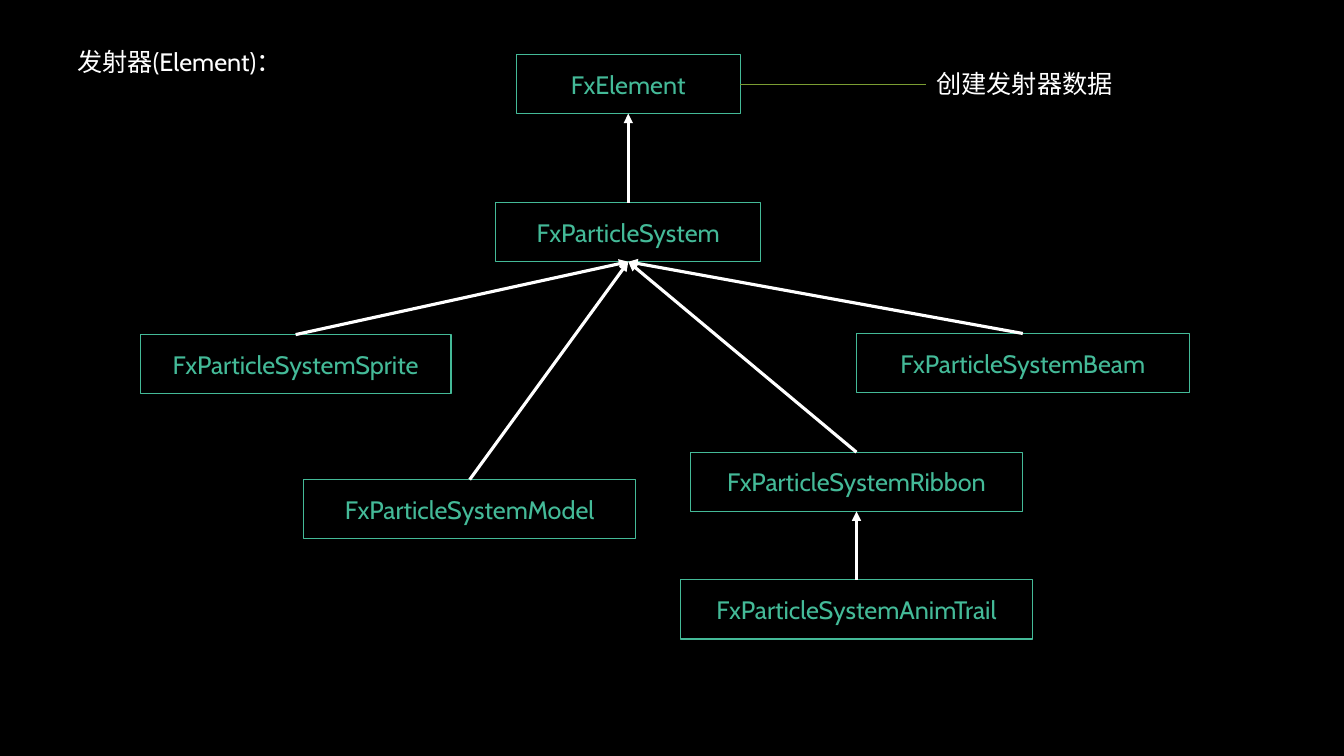
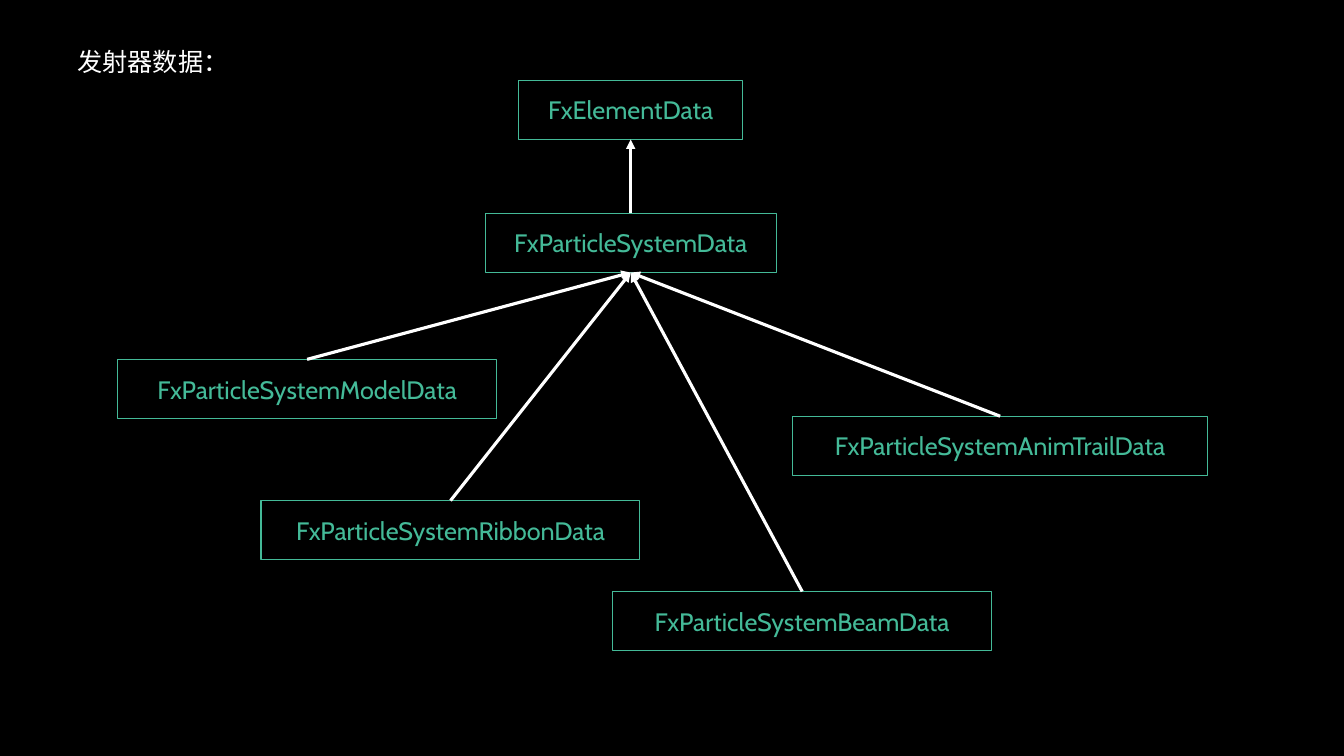
from dataclasses import dataclass

from lxml import etree
from pptx import Presentation
from pptx.dml.color import RGBColor
from pptx.enum import dml, lang, shapes, text
from pptx.oxml import ns
from pptx.util import Pt


@dataclass(frozen=True)
class Theme:
    background: RGBColor = RGBColor(0x00, 0x00, 0x00)
    accent: RGBColor = RGBColor(0x44, 0xBA, 0x98)
    white: RGBColor = RGBColor(0xFF, 0xFF, 0xFF)
    note_line: RGBColor = RGBColor(0x7B, 0x9D, 0x32)
    font: str = "Cabin"
    text_size: float = 18
    thin: float = 0.75
    thick: float = 2.25
    box_height: float = 42.3
    label_height: float = 29


@dataclass(frozen=True)
class ClassBox:
    name: str
    center: float
    top: float
    width: float
    parent: str = ""


THEME = Theme()
TOP, LEFT, BOTTOM, RIGHT = range(4)

ELEMENT_CLASSES = [
    ClassBox("FxElement", 448.8, 38.9, 160),
    ClassBox("FxParticleSystem", 448.8, 144.7, 189.4, "FxElement"),
    ClassBox("FxParticleSystemSprite", 211.2, 239, 222, "FxParticleSystem"),
    ClassBox("FxParticleSystemModel", 335.5, 342.6, 237.6, "FxParticleSystem"),
    ClassBox("FxParticleSystemRibbon", 611.8, 323, 237.6, "FxParticleSystem"),
    ClassBox("FxParticleSystemBeam", 730.6, 238.2, 237.6, "FxParticleSystem"),
    ClassBox("FxParticleSystemAnimTrail", 611.8, 414.2, 251.6, "FxParticleSystemRibbon"),
]

DATA_CLASSES = [
    ClassBox("FxElementData", 450.5, 57.3, 160),
    ClassBox("FxParticleSystemData", 450.5, 152.4, 208, "FxElementData"),
    ClassBox("FxParticleSystemModelData", 219.4, 256.7, 270.7, "FxParticleSystemData"),
    ClassBox("FxParticleSystemRibbonData", 321.8, 357.6, 270.7, "FxParticleSystemData"),
    ClassBox("FxParticleSystemBeamData", 573, 422.5, 270.7, "FxParticleSystemData"),
    ClassBox("FxParticleSystemAnimTrailData", 714.4, 297.3, 296, "FxParticleSystemData"),
]


def format_text(text_frame, color):
    for paragraph in text_frame.paragraphs:
        for run in paragraph.runs:
            run.font.name = THEME.font
            run.font.size = Pt(THEME.text_size)
            run.font.color.rgb = color


def add_label(slide, content, left, top, width):
    label = slide.shapes.add_textbox(Pt(left), Pt(top), Pt(width), Pt(THEME.label_height))
    frame = label.text_frame
    frame.text = content
    frame.word_wrap = True
    frame.auto_size = text.MSO_AUTO_SIZE.SHAPE_TO_FIT_TEXT
    format_text(frame, THEME.white)
    frame.paragraphs[0].runs[0].font.language_id = lang.MSO_LANGUAGE_ID.SIMPLIFIED_CHINESE
    return label


def add_class_box(slide, box):
    shape = slide.shapes.add_shape(
        shapes.MSO_SHAPE.RECTANGLE,
        Pt(box.center - box.width / 2), Pt(box.top), Pt(box.width), Pt(THEME.box_height),
    )
    shape.shadow.inherit = False
    shape.fill.background()
    shape.line.color.rgb = THEME.accent
    shape.line.width = Pt(THEME.thin)
    frame = shape.text_frame
    frame.text = box.name
    frame.vertical_anchor = text.MSO_ANCHOR.MIDDLE
    frame.paragraphs[0].alignment = text.PP_ALIGN.CENTER
    format_text(frame, THEME.accent)
    return shape


def join(slide, start, start_side, end, end_side, color, width):
    connector = slide.shapes.add_connector(
        shapes.MSO_CONNECTOR.STRAIGHT, Pt(0), Pt(0), Pt(0), Pt(0)
    )
    connector.begin_connect(start, start_side)
    connector.end_connect(end, end_side)
    connector.line.color.rgb = color
    connector.line.width = Pt(width)
    connector.line.dash_style = dml.MSO_LINE.SOLID
    etree.SubElement(connector._element.spPr, ns.qn("a:effectLst"))
    return connector


def add_inheritance_arrow(slide, child, parent):
    arrow = join(slide, child, TOP, parent, BOTTOM, THEME.white, THEME.thick)
    line = arrow._element.spPr.find(ns.qn("a:ln"))
    etree.SubElement(line, ns.qn("a:tailEnd"), type="triangle")


def add_note(slide, target, content, left, width):
    middle = (target.top + target.height / 2) / Pt(1)
    label = add_label(slide, content, left, middle - THEME.label_height / 2, width)
    join(slide, target, RIGHT, label, LEFT, THEME.note_line, THEME.thin)


def add_class_slide(presentation, heading, boxes):
    slide = presentation.slides.add_slide(presentation.slide_layouts[6])
    slide.background.fill.solid()
    slide.background.fill.fore_color.rgb = THEME.background
    add_label(slide, heading, 48.2, 29.5, 194.4)
    drawn = {box.name: add_class_box(slide, box) for box in boxes}
    for box in boxes:
        if box.parent:
            add_inheritance_arrow(slide, drawn[box.name], drawn[box.parent])
    return slide, drawn


def main():
    presentation = Presentation()
    presentation.slide_width = Pt(960)
    presentation.slide_height = Pt(540)
    slide, drawn = add_class_slide(presentation, "发射器(Element)：", ELEMENT_CLASSES)
    add_note(slide, drawn["FxElement"], "创建发射器数据", 661.7, 152)
    add_class_slide(presentation, "发射器数据：", DATA_CLASSES)
    presentation.save("out.pptx")


if __name__ == "__main__":
    main()
